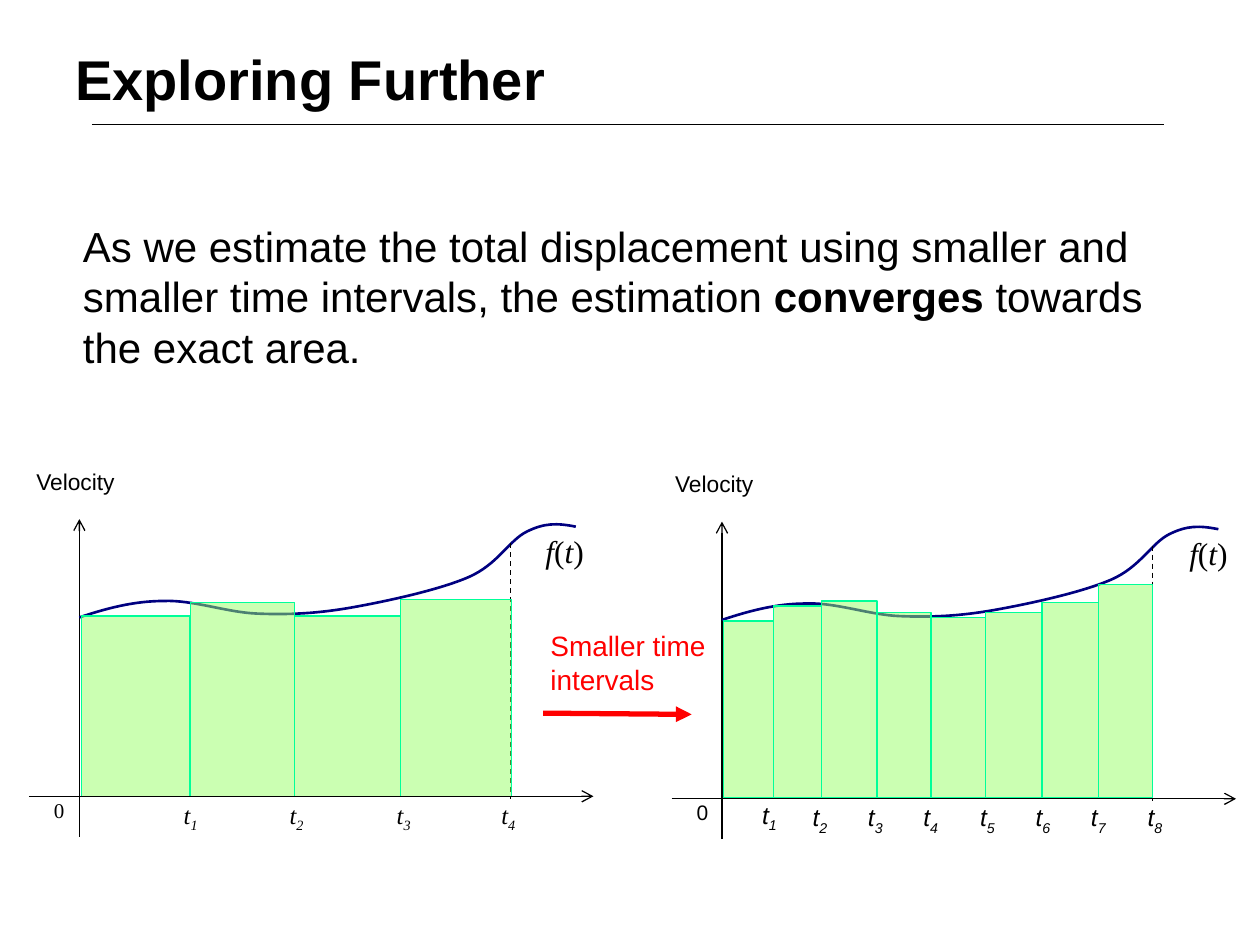
"""Build a slide showing velocity sums converging as time intervals shrink."""
from lxml import etree
from pptx import Presentation
from pptx.dml.color import RGBColor
from pptx.enum import dml, shapes, text
from pptx.oxml.ns import qn
from pptx.util import Inches, Pt

COLORS = {"ink": "000000", "curve": "000080", "bar": "99FF66",
          "edge": "00FF99", "accent": "FF0000"}
SANS, SERIF = "Arial", "Times New Roman"

TITLE = [("Exploring Further", "b")]
BODY = [
    ("As we estimate the total displacement using smaller and smaller time "
     "intervals, the estimation ", ""),
    ("converges", "b"),
    (" towards the exact area.", ""),
]
FUNCTION = [("f", "i"), ("(", ""), ("t", "i"), (")", "")]
CURVE = [
    (0.63, 4.9), (0.84, 4.83), (1.06, 4.77), (1.3, 4.77),
    (1.53, 4.76), (1.8, 4.86), (2.04, 4.87),
    (2.29, 4.88), (2.52, 4.87), (2.8, 4.82),
    (3.08, 4.77), (3.49, 4.68), (3.72, 4.58),
    (3.95, 4.48), (4.04, 4.29), (4.18, 4.22),
    (4.32, 4.15), (4.42, 4.15), (4.57, 4.18),
]
PLOTS = [
    {"shift": (0, 0), "font": SERIF, "velocity": 0.19, "function": 4.23,
     "zero": (0.33, 6.28), "base": 6.32,
     "edges": [0.65, 1.51, 2.34, 3.18, 4.06],
     "tops": [4.89, 4.78, 4.89, 4.76],
     "ticks": [(1.36, 6.3), (2.2, 6.3), (3.05, 6.3), (3.88, 6.3)]},
    {"shift": (5.1, 0.02), "font": SANS, "velocity": 5.26, "function": 9.34,
     "zero": (5.43, 6.3), "base": 6.33,
     "edges": [5.74, 6.14, 6.52, 6.96, 7.39, 7.82, 8.27, 8.72, 9.15],
     "tops": [4.93, 4.81, 4.77, 4.86, 4.9, 4.86, 4.78, 4.64],
     "ticks": [(5.95, 6.3), (6.35, 6.32), (6.79, 6.32), (7.23, 6.32),
               (7.68, 6.32), (8.12, 6.32), (8.56, 6.32), (9.01, 6.32)]},
]


def color(name):
    return RGBColor.from_string(COLORS[name])


def add_text(slide, runs, left, top, width, height, size, font=SANS,
             ink="ink", indent=0):
    frame = slide.shapes.add_textbox(
        Inches(left), Inches(top), Inches(width), Inches(height)).text_frame
    frame.word_wrap = True
    frame.vertical_anchor = text.MSO_ANCHOR.TOP
    paragraph = frame.paragraphs[0]
    if indent:
        paragraph._p.get_or_add_pPr().set("marL", str(Inches(indent)))
    for content, style in runs:
        run = paragraph.add_run()
        run.text = content
        run.font.name, run.font.size = font, Pt(size)
        run.font.bold, run.font.italic = "b" in style, "i" in style
        run.font.color.rgb = color(ink)
        if "s" in style:
            run._r.get_or_add_rPr().set("baseline", "-25000")


def add_line(slide, start, end, ink="ink", width=0.75, arrow=None, dashed=False):
    line = slide.shapes.add_connector(
        shapes.MSO_CONNECTOR.STRAIGHT, *(Inches(v) for v in (*start, *end)))
    line.line.color.rgb = color(ink)
    line.line.width = Pt(width)
    if dashed:
        line.line.dash_style = dml.MSO_LINE.DASH
    if arrow:
        etree.SubElement(line.line._get_or_add_ln(), qn("a:tailEnd"), type=arrow)
    etree.SubElement(line._element.spPr, qn("a:effectLst"))


def add_curve(slide, controls):
    points = [(Inches(x), Inches(y)) for x, y in controls]
    builder = slide.shapes.build_freeform(*points[0])
    builder.add_line_segments(points[1:], close=False)
    shape = builder.convert_to_shape()
    segments = list(shape._element.iter(qn("a:lnTo")))
    outline = segments[0].getparent()
    for first in range(0, len(segments), 3):
        bezier = etree.SubElement(outline, qn("a:cubicBezTo"))
        for segment in segments[first:first + 3]:
            bezier.append(segment[0])
            outline.remove(segment)
    shape.shadow.inherit = False
    shape.fill.background()
    shape.line.color.rgb = color("curve")
    shape.line.width = Pt(1.5)


def add_bar(slide, left, top, right, bottom):
    shape = slide.shapes.add_shape(
        shapes.MSO_SHAPE.RECTANGLE, Inches(left), Inches(top),
        Inches(right - left), Inches(bottom - top))
    shape.shadow.inherit = False
    shape.fill.solid()
    shape.fill.fore_color.rgb = color("bar")
    fill = shape._element.spPr.find(qn("a:solidFill"))
    etree.SubElement(fill[0], qn("a:alpha"), val="50000")
    shape.line.color.rgb = color("edge")
    shape.line.width = Pt(0.75)


def add_plot(slide, plot):
    dx, dy = plot["shift"]

    def place(x, y):
        return x + dx, y + dy

    add_line(slide, place(0.63, 6.64), place(0.63, 4.12), arrow="arrow")
    add_text(slide, [("Velocity", "")], plot["velocity"], 3.66 + dy, 1.65, 0.32, 13)
    add_text(slide, FUNCTION, plot["function"], 4.17 + dy, 0.68, 0.4, 18, SERIF)
    add_curve(slide, [place(*point) for point in CURVE])
    add_line(slide, place(4.05, 4.31), place(4.05, 6.34), dashed=True)
    edges = plot["edges"]
    for left, right, top in zip(edges, edges[1:], plot["tops"]):
        add_bar(slide, left, top, right, plot["base"])
    add_line(slide, place(0.23, 6.32), place(4.71, 6.32), arrow="arrow")
    add_text(slide, [("0", "")], *plot["zero"], 0.78, 0.56, 12, plot["font"])
    for number, (left, top) in enumerate(plot["ticks"], 1):
        add_text(slide, [("t", "i"), (str(number), "is")],
                 left, top, 0.78, 0.56, 14, plot["font"])


def main():
    presentation = Presentation()
    presentation.slide_width, presentation.slide_height = Inches(10), Inches(7.5)
    slide = presentation.slides.add_slide(presentation.slide_layouts[6])
    add_line(slide, (0.73, 0.99), (9.24, 0.99), width=0.25)
    add_text(slide, BODY, 0.18, 1.7, 9.26, 1.44, 24, indent=0.38)
    for plot in PLOTS:
        add_plot(slide, plot)
    add_line(slide, (4.31, 5.66), (5.49, 5.67), "accent", 3, "triangle")
    add_text(slide, [("Smaller time intervals", "")],
             4.27, 4.94, 1.81, 0.64, 16, ink="accent")
    add_text(slide, TITLE, 0.5, 0.3, 9, 1.25, 32)
    presentation.save("out.pptx")


if __name__ == "__main__":
    main()
